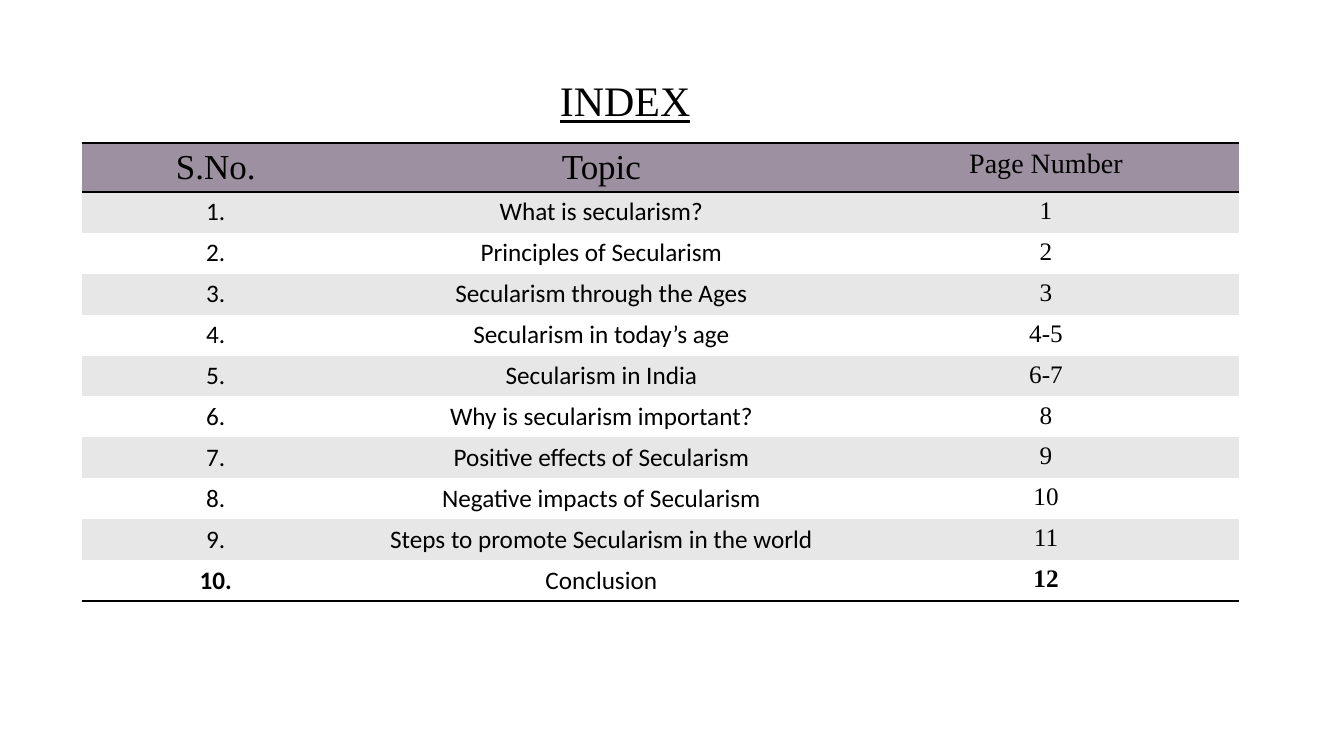
from lxml import etree
from pptx import Presentation
from pptx import util as u
from pptx.dml.color import RGBColor
from pptx.enum import text
from pptx.oxml import ns

TITLE = "INDEX"
HEADINGS = [("S.No.", 25), ("Topic", 25), ("Page Number", 20)]
TOPICS = [
    ("What is secularism?", "1"),
    ("Principles of Secularism", "2"),
    ("Secularism through the Ages", "3"),
    ("Secularism in today’s age", "4-5"),
    ("Secularism in India", "6-7"),
    ("Why is secularism important?", "8"),
    ("Positive effects of Secularism", "9"),
    ("Negative impacts of Secularism", "10"),
    ("Steps to promote Secularism in the world", "11"),
    ("Conclusion", "12"),
]
COLORS = {"ink": "000000", "header": "9D90A0", "band": "E7E7E7", "plain": "FFFFFF"}
SERIF, SANS = "Times New Roman", "Calibri"
COLUMN_FONTS = [SANS, SANS, SERIF]
SLIDE_SIZE = (13.33, 7.5)
TITLE_BOX = (0.45, 0.3, 11.5, 1.45)
TABLE_LEFT, TABLE_TOP = 0.81, 1.42
COLUMN_WIDTHS = [2.66, 4.99, 3.83]
HEADER_HEIGHT, BODY_HEIGHT = 0.48, 4.06
RULE_WIDTH = 2
NO_STYLE = "{2D5ABB26-0587-4C30-8999-92F81FD0307C}"


def format_paragraph(paragraph, font_name, size, bold=False):
    paragraph.alignment = text.PP_ALIGN.CENTER
    font = paragraph.font
    font.name, font.size, font.bold = font_name, u.Pt(size), bold
    font.color.rgb = RGBColor.from_string(COLORS["ink"])


def add_rule(cell, side):
    properties = cell._tc.get_or_add_tcPr()
    line = etree.SubElement(properties, ns.qn(f"a:ln{side}"), w=str(u.Pt(RULE_WIDTH)))
    fill = etree.SubElement(line, ns.qn("a:solidFill"))
    etree.SubElement(fill, ns.qn("a:srgbClr"), val=COLORS["ink"])


def fill_cell(cell, words, font_name, size, color, rules="", bold=False):
    cell.text = words
    format_paragraph(cell.text_frame.paragraphs[0], font_name, size, bold)
    for side in rules:
        add_rule(cell, side)
    cell.fill.solid()
    cell.fill.fore_color.rgb = RGBColor.from_string(color)


def add_title(slide):
    title = slide.shapes.title
    title.left, title.top, title.width, title.height = map(u.Inches, TITLE_BOX)
    title.text_frame.text = TITLE
    title.text_frame.vertical_anchor = text.MSO_ANCHOR.MIDDLE
    paragraph = title.text_frame.paragraphs[0]
    format_paragraph(paragraph, SERIF, 30)
    paragraph.font.underline = True
    paragraph.line_spacing = 0.9


def add_index(slide):
    last = len(TOPICS)
    box = (TABLE_LEFT, TABLE_TOP, sum(COLUMN_WIDTHS), HEADER_HEIGHT + BODY_HEIGHT)
    table = slide.shapes.add_table(last + 1, len(HEADINGS), *map(u.Inches, box)).table
    table.first_row = table.horz_banding = False
    table._tbl.tblPr.find(ns.qn("a:tableStyleId")).text = NO_STYLE
    for column, width in zip(table.columns, COLUMN_WIDTHS):
        column.width = u.Inches(width)
    for number, row in enumerate(table.rows):
        row.height = u.Inches(BODY_HEIGHT / last if number else HEADER_HEIGHT)

    for column, (heading, size) in enumerate(HEADINGS):
        fill_cell(table.cell(0, column), heading, SERIF, size, COLORS["header"], "TB")
    for number, (topic, pages) in enumerate(TOPICS, 1):
        color = COLORS["band" if number % 2 else "plain"]
        rules = "B" if number == last else ""
        for column, words in enumerate((f"{number}.", topic, pages)):
            bold = number == last and words != topic
            fill_cell(table.cell(number, column), words, COLUMN_FONTS[column], 18, color, rules, bold)


def main():
    presentation = Presentation()
    presentation.slide_width, presentation.slide_height = map(u.Inches, SLIDE_SIZE)
    slide = presentation.slides.add_slide(presentation.slide_layouts[5])
    add_title(slide)
    add_index(slide)
    presentation.save("out.pptx")


if __name__ == "__main__":
    main()
